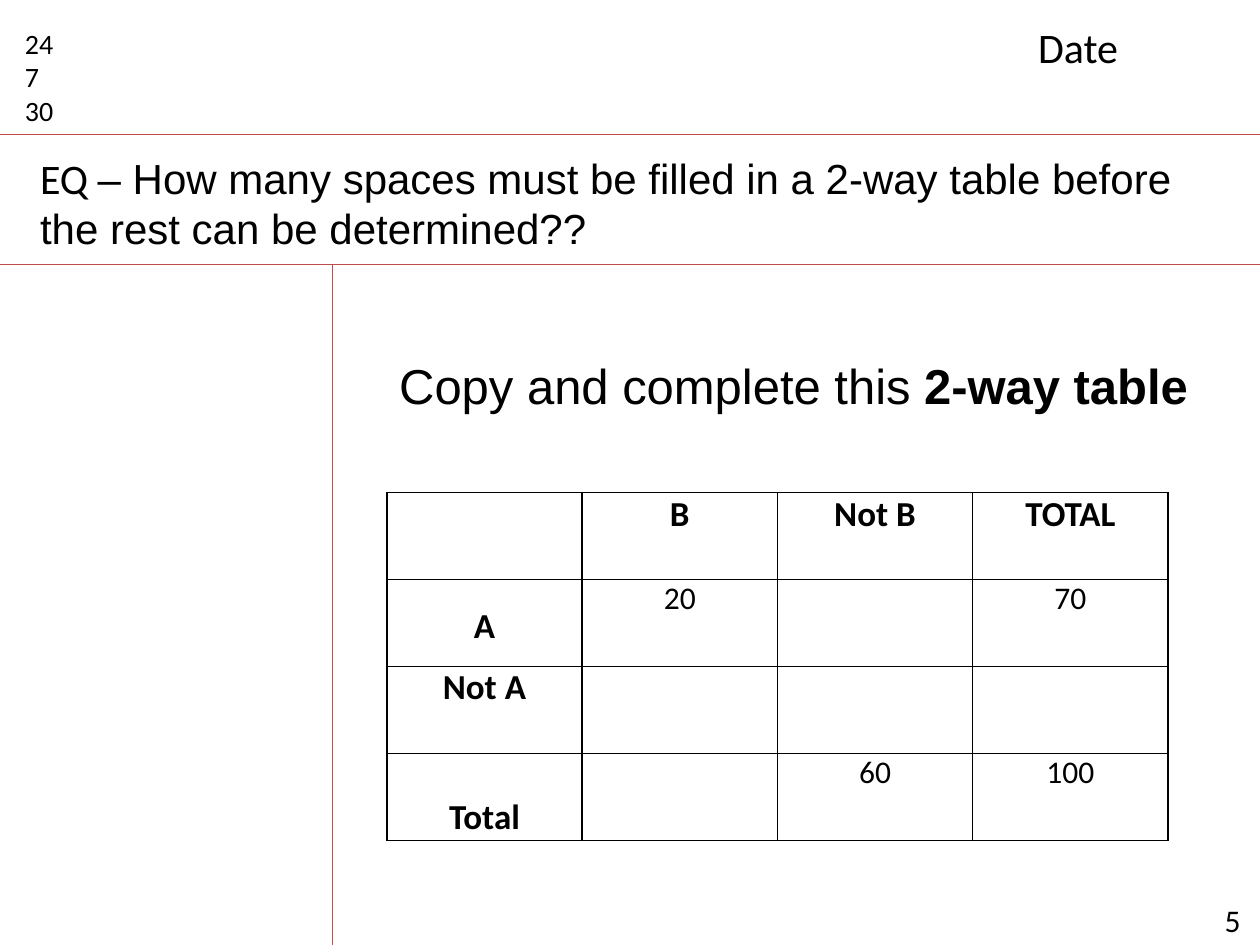
from lxml import etree
from pptx import Presentation
from pptx import util as u
from pptx.dml.color import RGBColor
from pptx.enum import shapes, text
from pptx.oxml import ns

WIDTH, HEIGHT = 10, 7.5
BLACK, WHITE, RED = "000000", "FFFFFF", "BF4C48"

# Content: each paragraph is a list of (words, font, bold) runs
HEADINGS = [
    dict(at=(0.1, 0.16, 0.63, 0.91), size=16,
         lines=[[(n, "Calibri", False)] for n in ("24", "7", "30")]),
    dict(at=(8.14, 0.12, 1.73, 0.5), size=24, lines=[[("Date", "Calibri", False)]]),
    dict(at=(0.22, 1.16, 9.43, 0.91), size=24, lines=[[
        ("EQ ", "Calibri", False),
        ("– How many spaces must be filled in a 2-way table before "
         "the rest can be determined??", "Arial", False)]]),
    dict(at=(3.07, 2.27, 6.83, 4.34), size=28, inset_top=0.55, lines=[[
        ("Copy and complete this ", "Arial", False),
        ("2-way table", "Arial", True)]]),
    dict(at=(9.62, 7.1, 0.38, 0.4), size=18, lines=[[("5", "Calibri", False)]]),
]
TWO_WAY = [
    ["", "B", "Not B", "TOTAL"],
    ["A", "20", "", "70"],
    ["Not A", "", "", ""],
    ["Total", "", "60", "100"],
]
LABEL_DROP = {"A": 0.2, "Total": 0.34}  # space above a row label
TABLE_AT = (3.07, 3.91)
COLUMN, ROW = 1.55, 0.69

# Ruled note lines
DATE_RULE, QUESTION_RULE, MARGIN_RULE = 1.07, 2.1, 2.64
RULES = [
    (0, DATE_RULE, WIDTH, DATE_RULE),
    (0, QUESTION_RULE, WIDTH, QUESTION_RULE),
    (MARGIN_RULE, QUESTION_RULE, MARGIN_RULE, HEIGHT),
]


def color(value):
    return RGBColor.from_string(value)


def inches(values):
    return [u.Inches(v) for v in values]


def write(paragraph, words, font, size, bold):
    run = paragraph.add_run()
    run.text = words
    for key, value in dict(name=font, size=u.Pt(size), bold=bold).items():
        setattr(run.font, key, value)
    run.font.color.rgb = color(BLACK)


def add_rule(slide, ends):
    rule = slide.shapes.add_connector(shapes.MSO_CONNECTOR.STRAIGHT, *inches(ends))
    rule.line.color.rgb = color(RED)
    rule.line.width = u.Pt(0.75)
    etree.SubElement(rule._element.spPr, ns.qn("a:effectLst"))


def add_heading(slide, at, size, lines, inset_top=0.05):
    frame = slide.shapes.add_textbox(*inches(at)).text_frame
    frame.word_wrap = True
    frame.margin_top = u.Inches(inset_top)
    for i, runs in enumerate(lines):
        paragraph = frame.add_paragraph() if i else frame.paragraphs[0]
        for words, font, bold in runs:
            write(paragraph, words, font, size, bold)


def add_borders(cell):
    properties = cell._tc.get_or_add_tcPr()
    for i, side in enumerate(("lnL", "lnR", "lnT", "lnB")):
        border = etree.Element(ns.qn("a:" + side), w=str(u.Pt(1)))
        fill = etree.SubElement(border, ns.qn("a:solidFill"))
        etree.SubElement(fill, ns.qn("a:srgbClr"), val=BLACK)
        properties.insert(i, border)


def add_two_way_table(slide):
    rows, columns = len(TWO_WAY), len(TWO_WAY[0])
    table = slide.shapes.add_table(
        rows, columns, *inches((*TABLE_AT, columns * COLUMN, rows * ROW))).table
    table.first_row = table.horz_banding = False
    for column in table.columns:
        column.width = u.Inches(COLUMN)
    for r, entries in enumerate(TWO_WAY):
        table.rows[r].height = u.Inches(ROW)
        for c, words in enumerate(entries):
            cell = table.cell(r, c)
            margins = dict(left=0.07, right=0.07, top=LABEL_DROP.get(words, 0), bottom=0)
            for side, value in margins.items():
                setattr(cell, "margin_" + side, u.Inches(value))
            cell.fill.solid()
            cell.fill.fore_color.rgb = color(WHITE)
            add_borders(cell)
            if words:
                label = r == 0 or c == 0
                paragraph = cell.text_frame.paragraphs[0]
                paragraph.alignment = text.PP_ALIGN.CENTER
                write(paragraph, words, "Calibri", 20 if label else 18, label)


def main():
    deck = Presentation()
    deck.slide_width, deck.slide_height = inches((WIDTH, HEIGHT))
    slide = deck.slides.add_slide(deck.slide_layouts[6])
    for ends in RULES:
        add_rule(slide, ends)
    for heading in HEADINGS:
        add_heading(slide, **heading)
    add_two_way_table(slide)
    deck.save("out.pptx")


if __name__ == "__main__":
    main()
